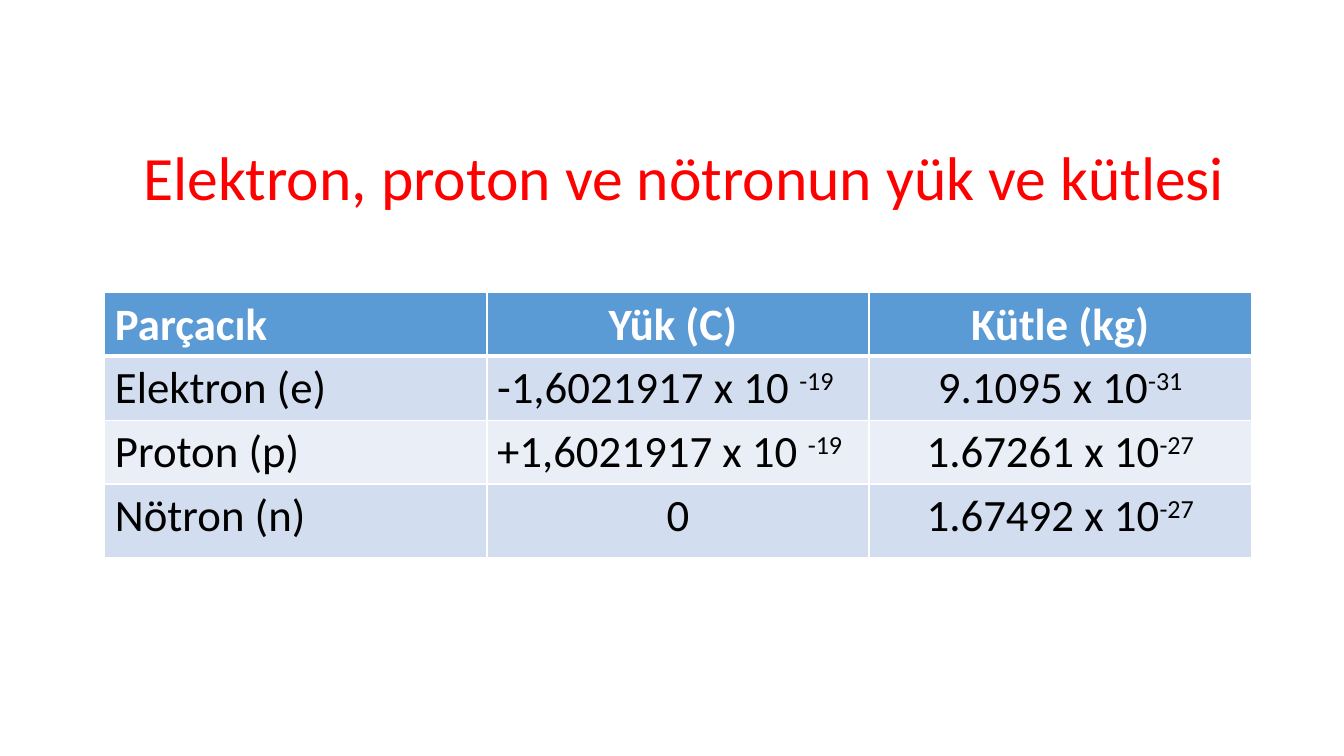
"""Build a slide with a table of particle charges and masses."""
from dataclasses import dataclass

from lxml import etree
from pptx import Presentation
from pptx import util as u
from pptx.dml.color import RGBColor
from pptx.enum import text
from pptx.oxml import ns

FONT = "Calibri"
WHITE = "FFFFFF"
BLACK = "000000"
RED = "FF0000"
HEADER_FILL = "5B9BD5"
BAND_FILLS = ("D2DEEF", "EAEFF7")
COLUMN_WIDTH = 3.79
ROW_HEIGHTS = (0.6, 0.6, 0.6, 0.73)
LEFT = text.PP_ALIGN.LEFT
CENTER = text.PP_ALIGN.CENTER


@dataclass(frozen=True)
class Entry:
    """Text of one cell, with an optional exponent."""
    base: str
    exponent: str = ""
    align: text.PP_ALIGN = CENTER


ROWS = (
    (Entry("Parçacık", align=LEFT), Entry("Yük (C) "), Entry("Kütle (kg)")),
    (Entry("Elektron (e)", align=LEFT), Entry("-1,6021917 x 10 ", "-19", LEFT),
     Entry("9.1095 x 10", "-31")),
    (Entry("Proton (p)", align=LEFT), Entry("+1,6021917 x 10 ", "-19", LEFT),
     Entry("1.67261 x 10", "-27")),
    (Entry("Nötron (n)", align=LEFT), Entry("0"), Entry("1.67492 x 10", "-27")),
)


def rgb(value: str) -> RGBColor:
    """Turn a hex string into a colour."""
    return RGBColor.from_string(value)


def style_font(para, size: int, color: str, bold: bool = False) -> None:
    """Set the font of a whole paragraph."""
    font = para.font
    font.name, font.size, font.bold = FONT, u.Pt(size), bold
    font.color.rgb = rgb(color)


def add_borders(cell, bottom_width: int, top_width: int) -> None:
    """Draw white lines on the four sides of a cell."""
    properties = cell._tc.get_or_add_tcPr()
    widths = {"a:lnL": 1, "a:lnR": 1, "a:lnT": top_width, "a:lnB": bottom_width}
    for index, (side, width) in enumerate(widths.items()):
        line = etree.Element(ns.qn(side), w=str(u.Pt(width)))
        fill = etree.SubElement(line, ns.qn("a:solidFill"))
        etree.SubElement(fill, ns.qn("a:srgbClr"), val=WHITE)
        properties.insert(index, line)


def fill_cell(cell, entry: Entry, row: int) -> None:
    """Write and style one table cell."""
    header = row == 0
    para = cell.text_frame.paragraphs[0]
    para.alignment = entry.align
    style_font(para, 32, WHITE if header else BLACK, header)
    para.add_run().text = entry.base
    if entry.exponent:
        span = para.add_run()
        span.text = entry.exponent
        span._r.get_or_add_rPr().set("baseline", "30000")
    cell.fill.solid()
    cell.fill.fore_color.rgb = rgb(HEADER_FILL if header else BAND_FILLS[(row - 1) % 2])
    add_borders(cell, 3 if header else 1, 3 if row == 1 else 1)


def add_title(page) -> None:
    """Add the centred red heading."""
    box = page.shapes.add_textbox(u.Inches(1.04), u.Inches(1.07), u.Inches(11.5), u.Inches(1.45))
    frame = box.text_frame
    frame.word_wrap = True
    frame.vertical_anchor = text.MSO_ANCHOR.MIDDLE
    para = frame.paragraphs[0]
    para.alignment = CENTER
    para.line_spacing = 0.9
    style_font(para, 44, RED)
    para.add_run().text = "Elektron, proton ve nötronun yük ve kütlesi"


def add_particle_table(page) -> None:
    """Add the table of particles."""
    columns = len(ROWS[0])
    table = page.shapes.add_table(
        len(ROWS), columns, u.Inches(1.04), u.Inches(2.9),
        u.Inches(COLUMN_WIDTH * columns), u.Inches(sum(ROW_HEIGHTS))).table
    for column in table.columns:
        column.width = u.Inches(COLUMN_WIDTH)
    for row, (entries, height) in enumerate(zip(ROWS, ROW_HEIGHTS)):
        table.rows[row].height = u.Inches(height)
        for column, entry in enumerate(entries):
            fill_cell(table.cell(row, column), entry, row)


def main() -> None:
    """Create and save the deck."""
    deck = Presentation()
    deck.slide_width, deck.slide_height = u.Inches(13.33), u.Inches(7.5)
    page = deck.slides.add_slide(deck.slide_layouts[6])
    add_title(page)
    add_particle_table(page)
    deck.save("out.pptx")


if __name__ == "__main__":
    main()
